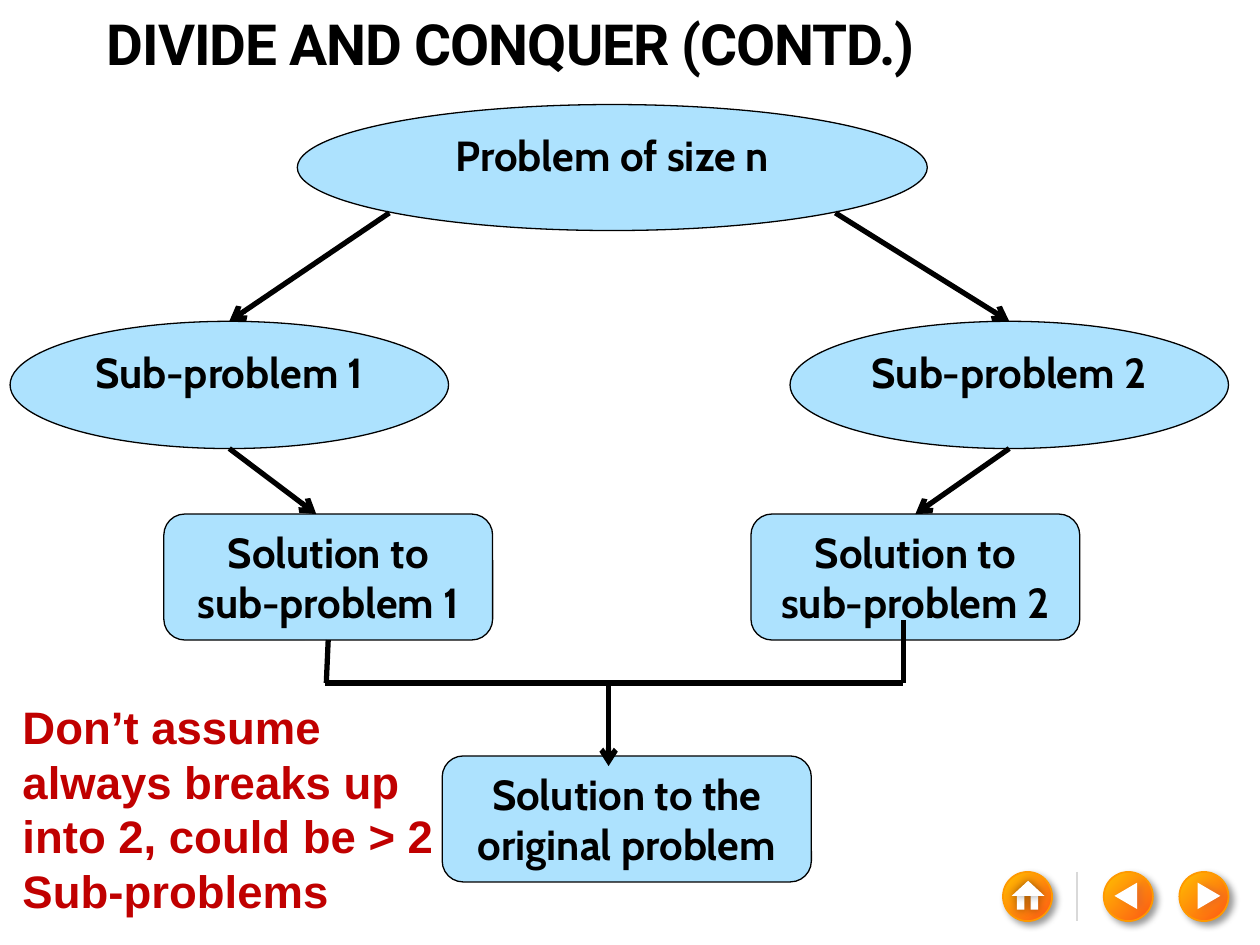
from lxml import etree
from pptx import Presentation
from pptx.dml.color import RGBColor
from pptx.enum.shapes import MSO_CONNECTOR, MSO_SHAPE as Geometry
from pptx.enum.text import MSO_ANCHOR as Anchor, PP_ALIGN as Align
from pptx.oxml.ns import qn
from pptx.util import Inches, Pt

BLACK = RGBColor(0x00, 0x00, 0x00)
WHITE = RGBColor(0xFF, 0xFF, 0xFF)
SKY = RGBColor(0xAD, 0xE2, 0xFE)
RED = RGBColor(0xC0, 0x00, 0x00)
GREY = RGBColor(0xD9, 0xD9, 0xD9)
AMBER = RGBColor(0xFF, 0x99, 0x00)
DEEP_ORANGE = RGBColor(0xFE, 0x58, 0x15)
YELLOW = RGBColor(0xFF, 0xC0, 0x00)
RUST = RGBColor(0xD3, 0x56, 0x41)

TOP, BOTTOM = 0, 2


def write_text(frame, text, font="Cabin", size=24, color=BLACK,
               align=Align.CENTER, anchor=Anchor.TOP, spacing=None):
    """Fill a text frame, one paragraph for each line of text."""
    frame.word_wrap = True
    frame.vertical_anchor = anchor
    for number, line in enumerate(text.split("\n")):
        paragraph = frame.add_paragraph() if number else frame.paragraphs[0]
        paragraph.alignment = align
        run = paragraph.add_run()
        run.text = line
        run.font.name = font
        run.font.size = Pt(size)
        run.font.bold = True
        run.font.color.rgb = color
        if spacing is not None:
            run._r.get_or_add_rPr().set("spc", str(round(spacing * 100)))


def add_shadow(shape, color, blur, distance, angle):
    effects = shape._element.spPr.find(qn("a:effectLst"))
    outer = etree.SubElement(
        effects, qn("a:outerShdw"), blurRad=str(Pt(blur)), dist=str(Pt(distance)),
        dir=str(angle * 60000), algn="tl", rotWithShape="0")
    tint = etree.SubElement(outer, qn("a:srgbClr"), val=str(color))
    etree.SubElement(tint, qn("a:alpha"), val="40000")


class DiagramSlide:
    def __init__(self, slide):
        self.shapes = slide.shapes
        self.node_fill = SKY
        self.node_line = Pt(0.75)
        self.arrow_line = 3

    def shape(self, geometry, left, top, width, height, fill=WHITE):
        shape = self.shapes.add_shape(
            geometry, Inches(left), Inches(top), Inches(width), Inches(height))
        shape.shadow.inherit = False
        shape.fill.solid()
        shape.fill.fore_color.rgb = fill
        shape.line.fill.background()
        return shape

    def node(self, geometry, text, left, top, width, height=1):
        node = self.shape(geometry, left, top, width, height, self.node_fill)
        node.line.color.rgb = BLACK
        node.line.width = self.node_line
        write_text(node.text_frame, text)
        return node

    def label(self, text, left, top, width, height, **style):
        box = self.shapes.add_textbox(
            Inches(left), Inches(top), Inches(width), Inches(height))
        write_text(box.text_frame, text, align=Align.LEFT, **style)

    def line(self, start, end, arrow=False, color=BLACK, width=None):
        line = self.shapes.add_connector(
            MSO_CONNECTOR.STRAIGHT, *map(Inches, start + end))
        line.line.color.rgb = color
        line.line.width = Pt(width or self.arrow_line)
        if arrow:
            etree.SubElement(line.line._get_or_add_ln(), qn("a:tailEnd"), type="arrow")
        etree.SubElement(line._element.spPr, qn("a:effectLst"))
        return line

    def button(self, left):
        """Round navigation button, glowing from its lower right."""
        button = self.shape(Geometry.OVAL, left, 6.92, 0.39, 0.39)
        button.fill.gradient()
        for stop, color in zip(button.fill.gradient_stops, (DEEP_ORANGE, YELLOW)):
            stop.color.rgb = color
        gradient = button._element.spPr.find(qn("a:gradFill"))
        gradient.remove(gradient.find(qn("a:lin")))
        glow = etree.SubElement(gradient, qn("a:path"), path="circle")
        etree.SubElement(glow, qn("a:fillToRect"), l="100000", t="100000")
        button.line.color.rgb = AMBER
        button.line.width = Pt(1)
        add_shadow(button, BLACK, 4, 3, 45)

    def play_button(self, left, triangle_left, rotation):
        self.button(left)
        triangle = self.shape(Geometry.ISOSCELES_TRIANGLE, triangle_left, 7.02, 0.21, 0.18)
        triangle.rotation = rotation
        add_shadow(triangle, RUST, 4, 3, 0)

    def home_button(self, left):
        self.button(left)
        house = [(Geometry.RECTANGLE, 0.22, 7.11, 0.06, 0.11),
                 (Geometry.RECTANGLE, 0.11, 7.11, 0.06, 0.11),
                 (Geometry.ISOSCELES_TRIANGLE, 0.07, 6.99, 0.26, 0.12)]
        for geometry, offset, top, width, height in house:
            part = self.shape(geometry, left + offset, top, width, height)
            add_shadow(part, BLACK, 5, 0, 0)


def main():
    presentation = Presentation()
    presentation.slide_width, presentation.slide_height = Inches(10), Inches(7.5)
    diagram = DiagramSlide(presentation.slides.add_slide(presentation.slide_layouts[6]))

    diagram.play_button(9.36, 9.49, 90)
    diagram.play_button(8.76, 8.83, 270)
    diagram.home_button(7.96)
    diagram.line((8.55, 6.92), (8.55, 7.31), color=GREY, width=1)

    diagram.label("DIVIDE AND CONQUER (CONTD.)", 0.75, 0.08, 7.51, 0.58,
                  font="Roboto", size=32.4, anchor=Anchor.BOTTOM, spacing=-0.6)

    diagram.node(Geometry.OVAL, "Problem of size n", 2.36, 0.83, 5)
    solutions = [
        diagram.node(Geometry.ROUNDED_RECTANGLE, f"Solution to sub-problem {number}",
                     left, 4.08, 2.61)
        for number, left in enumerate((1.3, 5.96), start=1)]
    diagram.node(Geometry.ROUNDED_RECTANGLE, "Solution to the original problem",
                 3.51, 6, 2.93)
    for number, left in enumerate((0.08, 6.27), start=1):
        diagram.node(Geometry.OVAL, f"Sub-problem {number}", left, 2.55, 3.48, 1.01)

    # Problem -> sub-problems -> their solutions
    for problem_x, sub_problem_x, solution_x in ((3.09, 1.82, 2.51), (6.63, 8.01, 7.27)):
        diagram.line((problem_x, 1.69), (sub_problem_x, 2.55), arrow=True)
        to_solution = diagram.line((sub_problem_x, 3.56), (solution_x, 4.08), arrow=True)
    to_solution.end_connect(solutions[1], TOP)

    # Bracket that merges both solutions
    merge_y = 5.42
    from_first = diagram.line((2.6, 5.08), (2.59, merge_y))
    from_first.begin_connect(solutions[0], BOTTOM)
    diagram.line((2.58, merge_y), (7.17, merge_y))
    diagram.line((7.17, merge_y), (7.17, 4.92))
    diagram.line((4.83, merge_y), (4.83, 6.08), arrow=True)

    diagram.label("Don’t assume\nalways breaks up\ninto 2, could be > 2\nSub-problems",
                  0.08, 5.5, 3.75, 1.85, font="Arial", size=26, color=RED)

    presentation.save("out.pptx")


if __name__ == "__main__":
    main()
